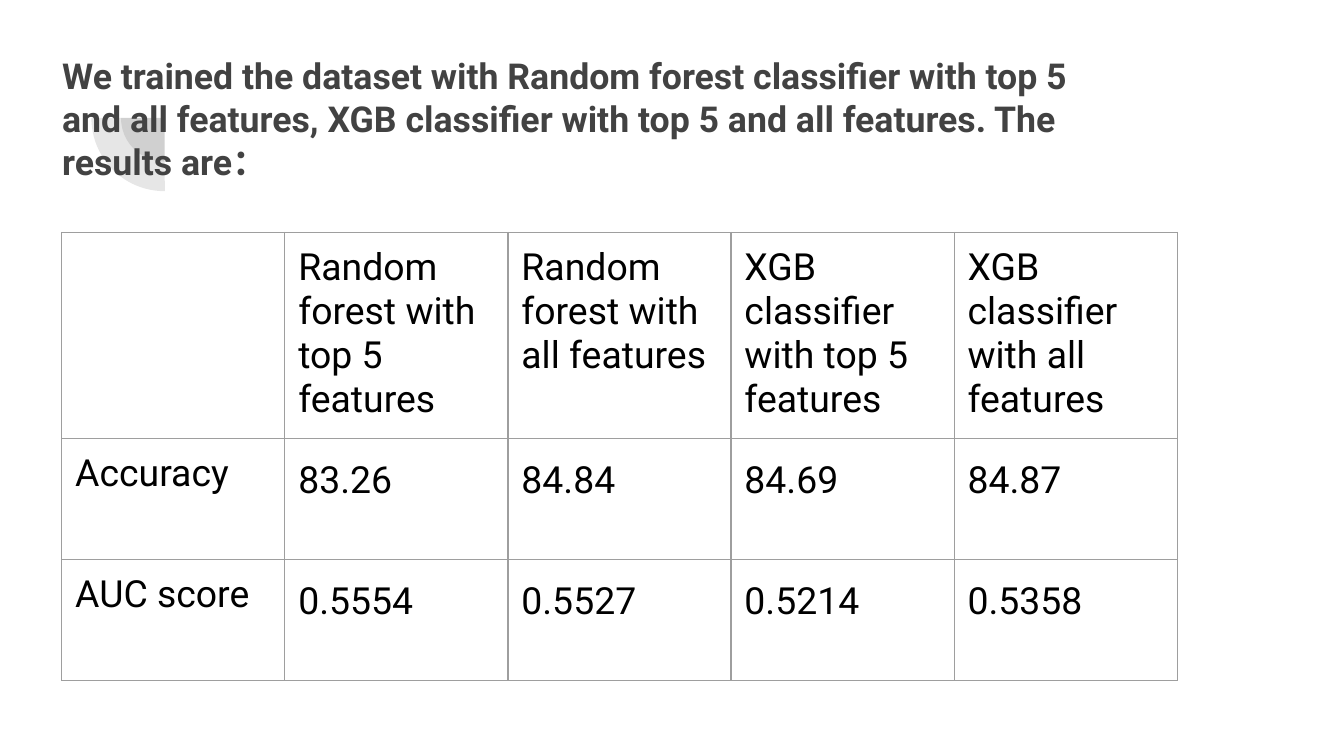
from dataclasses import dataclass

import pptx
import pptx.dml.color
import pptx.enum.shapes
import pptx.enum.text
import pptx.oxml
import pptx.oxml.ns
import pptx.util
from lxml import etree

RGBColor = pptx.dml.color.RGBColor
INK = RGBColor(0x42, 0x42, 0x42)
BLACK = RGBColor(0, 0, 0)
EDGE = RGBColor(0x9E, 0x9E, 0x9E)
FONT = "Roboto"
WIDE = pptx.util.Inches(10)
HIGH = WIDE * 9 // 16
PAD = pptx.util.Inches(0.1)

TITLE = (
    "We trained the dataset with Random forest classifier with top 5 "
    "and all features, XGB classifier with top 5 and all features. "
    "The results are："
)
ROWS = [
    ["", "Random forest with top 5 features", "Random forest with all features",
     "XGB classifier with top 5 features", "XGB classifier with all features"],
    ["Accuracy", "83.26", "84.84", "84.69", "84.87"],
    ["AUC score", "0.5554", "0.5527", "0.5214", "0.5358"],
]
TALL = [1.37, 0.9, 0.9]


@dataclass
class Box:
    x: float
    y: float
    w: float
    h: float

    def frame(self) -> tuple[int, int, int, int]:
        return (int(self.x * WIDE), int(self.y * HIGH),
                int(self.w * WIDE), int(self.h * HIGH))


@dataclass
class Pie:
    size: float


HUB_X, HUB_Y = 0.1225, 0.156
PIES = [Pie(0.065), Pie(0.109)]
HEAD = Box(0.0364, 0.0535, 0.769, 0.194)
GRID = Box(0.046, 0.3075, 0.83, 0.5636)


def add_node(base, tag: str, **attrs: str):
    return etree.SubElement(base, pptx.oxml.ns.qn(tag), **attrs)


def draw_pie(slide, pie: Pie) -> None:
    tall = pie.size * WIDE / HIGH
    box = Box(HUB_X - pie.size / 2, HUB_Y - tall / 2, pie.size, tall)
    shape = slide.shapes.add_shape(pptx.enum.shapes.MSO_SHAPE.PIE, *box.frame())
    shape.adjustments[0] = 107.93
    shape.adjustments[1] = 162
    shape.rotation = 270
    shape.shadow.inherit = False
    shape.line.fill.background()
    shape.fill.solid()
    shape.fill.fore_color.rgb = INK
    tone = shape.fill._xPr.find(".//" + pptx.oxml.ns.qn("a:srgbClr"))
    add_node(tone, "a:alpha", val="13000")


def style(para, size: float, color: RGBColor, bold: bool = False) -> None:
    for run in para.runs:
        run.font.name = FONT
        run.font.size = pptx.util.Pt(size)
        run.font.bold = bold
        run.font.color.rgb = color


def set_pad(item) -> None:
    item.margin_left = item.margin_right = PAD
    item.margin_top = item.margin_bottom = PAD


def draw_title(slide) -> None:
    frame = slide.shapes.add_textbox(*HEAD.frame()).text_frame
    frame.word_wrap = True
    frame.vertical_anchor = pptx.enum.text.MSO_ANCHOR.TOP
    set_pad(frame)
    frame.text = TITLE
    style(frame.paragraphs[0], 19.1, INK, True)


def add_edges(cell) -> None:
    props = cell._tc.get_or_add_tcPr()
    for side in ("a:lnL", "a:lnR", "a:lnT", "a:lnB"):
        line = add_node(props, side, w=str(int(pptx.util.Pt(0.75))))
        fill = add_node(line, "a:solidFill")
        add_node(fill, "a:srgbClr", val=str(EDGE))


def fill_cell(cell, text: str, lead: float | None) -> None:
    set_pad(cell)
    add_edges(cell)
    cell.fill.background()
    cell.text_frame.text = text
    para = cell.text_frame.paragraphs[0]
    para.line_spacing = lead
    style(para, 20, BLACK)


def draw_table(slide) -> None:
    cols = len(ROWS[0])
    table = slide.shapes.add_table(len(ROWS), cols, *GRID.frame()).table
    table.first_row = table.horz_banding = False
    for col in table.columns:
        col.width = int(GRID.w * WIDE / cols)
    for r, row in enumerate(ROWS):
        table.rows[r].height = pptx.util.Inches(TALL[r])
        for c, text in enumerate(row):
            lead = 1.15 if r and c else None
            fill_cell(table.cell(r, c), text, lead)


def main() -> None:
    deck = pptx.Presentation()
    deck.slide_width, deck.slide_height = WIDE, HIGH
    slide = deck.slides.add_slide(deck.slide_layouts[6])
    for pie in PIES:
        draw_pie(slide, pie)
    draw_title(slide)
    draw_table(slide)
    deck.save("out.pptx")


if __name__ == "__main__":
    main()
